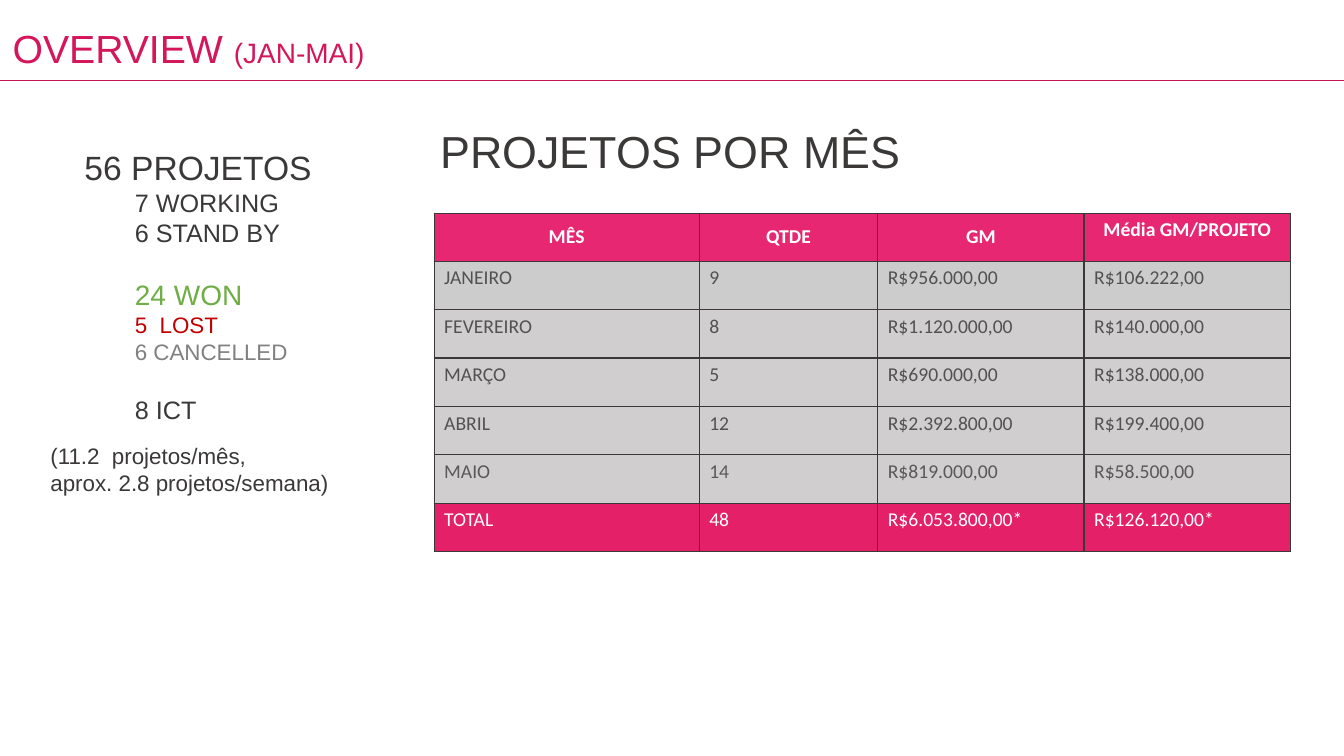
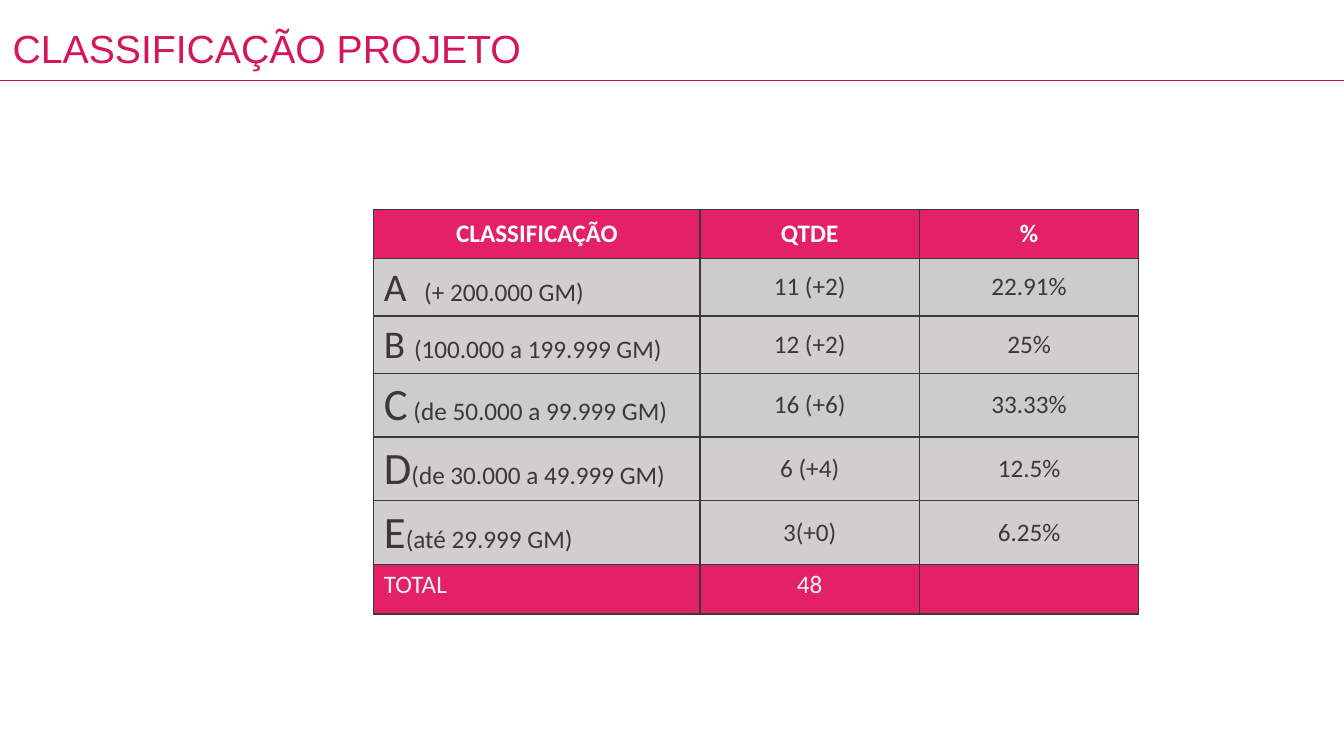
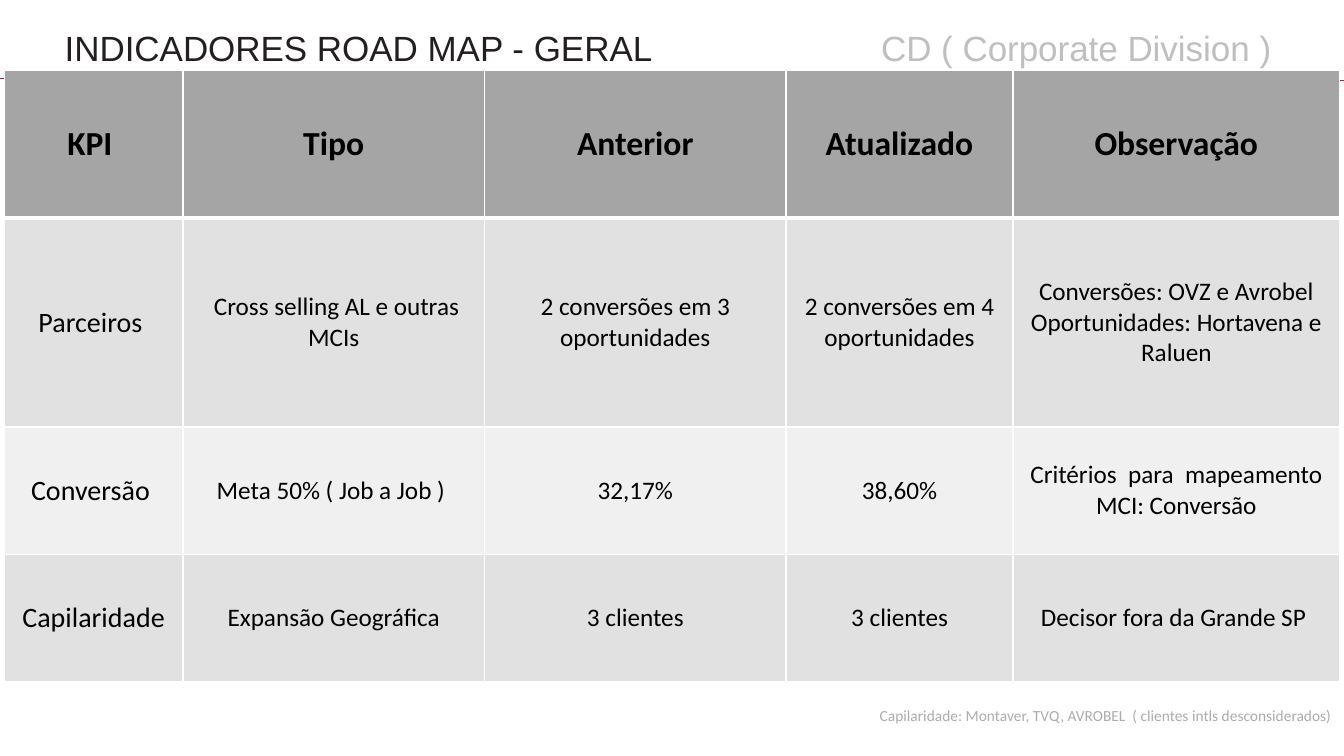
from dataclasses import dataclass, replace
from typing import NamedTuple, Optional, Sequence, Union

from lxml.etree import SubElement
from pptx import Presentation
from pptx.dml.color import RGBColor as Rgb
from pptx.enum.shapes import MSO_CONNECTOR as Link
from pptx.enum.text import MSO_ANCHOR as Anchor, PP_ALIGN as Align
from pptx.oxml.ns import qn
from pptx.util import Cm, Pt


@dataclass(frozen=True)
class Theme:
    rose: str = "D4175B"
    rule: str = "C0154C"
    pink: str = "E42068"
    light_pink: str = "E72772"
    dark: str = "3B3838"
    ink: str = "231F20"
    slate: str = "525252"
    ash: str = "595959"
    mute: str = "808080"
    green: str = "70AD47"
    red: str = "C00000"
    pale: str = "BFBFBF"
    faint: str = "AFABAB"
    head: str = "A5A5A5"
    band: str = "CCCCCC"
    warm: str = "D0CECE"
    mist: str = "E1E1E1"
    snow: str = "F0F0F0"
    cream: str = "F2F2F2"
    white: str = "FFFFFF"
    black: str = "000000"
    sans: str = "Arial"
    grid: str = "Calibri"
    huge: int = 32
    title: int = 28
    label: int = 25
    lead: int = 24
    sub: int = 20
    body: int = 18
    small: int = 16
    cell: int = 14
    note: int = 11


T = Theme()


class Run(NamedTuple):
    text: str
    size: float
    color: str
    bold: bool = False
    font: str = T.sans


class Para(NamedTuple):
    runs: Sequence[Run]
    indent: float = 0
    before: float = 0
    align: Align = Align.LEFT


class Box(NamedTuple):
    """Place of a shape, in centimetres."""
    left: float
    top: float
    width: float
    height: float


@dataclass(frozen=True)
class Look:
    """Style of a table cell."""
    size: float
    color: str
    fill: str
    bold: bool = False
    align: Align = Align.CENTER
    anchor: Anchor = Anchor.MIDDLE


@dataclass(frozen=True)
class Cell:
    text: str
    look: Look
    lead: str = ""
    lead_size: float = 0

    def paras(self) -> list[Para]:
        look = self.look
        base = Run("", look.size, look.color, look.bold, T.grid)
        lead = [base._replace(text=self.lead, size=self.lead_size)] if self.lead else []
        return [Para([*lead, base._replace(text=line)], align=look.align)
                for line in self.text.split("\n") if line]


def write(frame, paras: Sequence[Para]) -> None:
    for i, para in enumerate(paras):
        p = frame.add_paragraph() if i else frame.paragraphs[0]
        p.alignment = para.align
        if para.before:
            p.space_before = Pt(para.before)
        if para.indent:
            p.level = 1
            pr = p._p.get_or_add_pPr()
            pr.set("marL", str(Cm(para.indent)))
            pr.set("indent", "0")
        for part in para.runs:
            run = p.add_run()
            run.text = part.text
            style = {"name": part.font, "size": Pt(part.size), "bold": part.bold}
            for key, value in style.items():
                setattr(run.font, key, value)
            run.font.color.rgb = Rgb.from_string(part.color)


def add_text(slide, box: Box, paras: Sequence[Para], inset: Optional[float] = None,
             anchor: Anchor = Anchor.TOP) -> None:
    frame = slide.shapes.add_textbox(*map(Cm, box)).text_frame
    style = {"word_wrap": True, "vertical_anchor": anchor}
    if inset is not None:
        style |= {f"margin_{side}": Cm(inset) for side in ("left", "top", "right", "bottom")}
    for key, value in style.items():
        setattr(frame, key, value)
    write(frame, paras)


def add_rule(slide, start: float = 2.03) -> None:
    line = slide.shapes.add_connector(Link.STRAIGHT, 0, Cm(start), Cm(33.87), Cm(2.03))
    line.line.color.rgb = Rgb.from_string(T.rule)
    line.line.width = Pt(0.5)
    SubElement(line._element.spPr, qn("a:effectLst"))


def add_title(slide, runs: Sequence[Run], width: float) -> None:
    add_rule(slide)
    add_text(slide, Box(0.07, 0.49, width, 1.45), [Para(runs)])


def edge(cell, color: str, top: float, base: float) -> None:
    """Draw the four borders of a cell; must come before its fill."""
    pr = cell._tc.get_or_add_tcPr()
    for tag, width in {"lnL": 1, "lnR": 1, "lnT": top, "lnB": base}.items():
        line = SubElement(pr, qn(f"a:{tag}"), w=str(Pt(width)))
        fill = SubElement(line, qn("a:solidFill"))
        SubElement(fill, qn("a:srgbClr"), val=color)


def add_grid(slide, left: float, top: float, cols: Sequence[float], rows: Sequence[float],
             cells: Sequence[Sequence[Cell]], color: str, under: float = 1) -> None:
    """Add a table; under is the width of the line below its header."""
    table = slide.shapes.add_table(len(rows), len(cols), Cm(left), Cm(top),
                                   Cm(sum(cols)), Cm(sum(rows))).table
    table.horz_banding = False
    for col, width in zip(table.columns, cols):
        col.width = Cm(width)
    for row, height in zip(table.rows, rows):
        row.height = Cm(height)
    for r, line in enumerate(cells):
        for c, item in enumerate(line):
            cell = table.cell(r, c)
            edge(cell, color, under if r == 1 else 1, under if r == 0 else 1)
            cell.fill.solid()
            cell.fill.fore_color.rgb = Rgb.from_string(item.look.fill)
            cell.vertical_anchor = item.look.anchor
            write(cell.text_frame, item.paras())


def line_up(texts: Sequence[str], look: Look, **first: Union[str, float, Align]) -> list[Cell]:
    """Make a row of cells; first changes the look of the leading one."""
    looks = [replace(look, **first)] + [look] * (len(texts) - 1)
    return [Cell(text, style) for text, style in zip(texts, looks)]


def months(slide) -> None:
    add_title(slide, [Run("OVERVIEW ", T.title, T.rose), Run("(JAN-MAI)", T.sub, T.rose)], 18.24)
    counts = [
        ("7 WORKING", T.body, T.dark, 0),
        ("6 STAND BY", T.body, T.dark, 0),
        ("24 WON", T.sub, T.green, 21),
        ("5  LOST", T.small, T.red, 0),
        ("6 CANCELLED", T.small, T.mute, 0),
        ("8 ICT", T.body, T.dark, 21),
    ]
    add_text(slide, Box(1.88, 3.58, 8, 9.65),
             [Para([Run("56 PROJETOS", T.lead, T.dark)])]
             + [Para([Run(text, size, color)], 1.27, gap) for text, size, color, gap in counts])

    head = Look(T.cell, T.white, T.light_pink, True)
    first = Look(T.cell, T.slate, T.band, align=Align.LEFT, anchor=Anchor.TOP)
    plain = replace(first, fill=T.warm)
    last = replace(plain, color=T.ash)
    total = replace(plain, color=T.white, fill=T.pink)
    cells = [
        line_up(["MÊS", "QTDE", "GM"], head)
        + [Cell("Média GM/PROJETO", replace(head, anchor=Anchor.TOP))],
        line_up(["JANEIRO", "9", "R$956.000,00", "R$106.222,00"], first),
        line_up(["FEVEREIRO", "8", "R$1.120.000,00", "R$140.000,00"], plain),
        line_up(["MARÇO", "5", "R$690.000,00", "R$138.000,00"], plain),
        line_up(["ABRIL", "12", "R$2.392.800,00", "R$199.400,00"], plain),
        line_up(["MAIO", "14", "R$819.000,00", "R$58.500,00"], last),
        line_up(["TOTAL", "48", "R$6.053.800,00*", "R$126.120,00*"], total),
    ]
    add_grid(slide, 10.94, 5.37, [6.68, 4.5, 5.2, 5.2], [1.21] + [1.22] * 5 + [1.21],
             cells, T.dark)
    add_text(slide, Box(10.85, 3, 22.9, 1.63), [Para([Run("PROJETOS POR MÊS", T.huge, T.dark)])])
    add_text(slide, Box(1.02, 11.02, 7.8, 1.63),
             [Para([Run(text, T.small, T.dark)])
              for text in ("(11.2  projetos/mês,", "aprox. 2.8 projetos/semana)")])


def classes(slide) -> None:
    add_title(slide, [Run("CLASSIFICAÇÃO PROJETO", T.title, T.rose)], 29.41)
    head = Look(T.body, T.white, T.pink, True)
    plain = Look(T.body, T.dark, T.warm)
    total = Look(T.body, T.cream, T.pink, anchor=Anchor.TOP)
    ranks = [
        ("A  ", T.title, "(+ 200.000 GM)", "11 (+2)", "22.91%", T.warm, T.band),
        ("B ", T.title, "(100.000 a 199.999 GM)", "12 (+2)", "25%", T.warm, T.warm),
        ("C", T.huge, " (de 50.000 a 99.999 GM)", "16 (+6)", "33.33%", T.band, T.band),
        ("D", T.huge, "(de 30.000 a 49.999 GM)", "6 (+4)", "12.5%", T.warm, T.warm),
        ("E", T.huge, "(até 29.999 GM)", "3(+0)", "6.25%", T.warm, T.warm),
    ]
    cells = [line_up(["CLASSIFICAÇÃO", "QTDE", "%"], head)]
    for mark, size, span, count, share, left, rest in ranks:
        name = Cell(span, replace(plain, fill=left, align=Align.LEFT), mark, size)
        cells.append([name] + line_up([count, share], replace(plain, fill=rest)))
    cells.append(line_up(["TOTAL", "48", ""], total, align=Align.LEFT))
    add_grid(slide, 9.42, 5.28, [8.22, 5.53, 5.53], [1.24] * 7, cells, T.dark)


def goals(slide) -> None:
    add_rule(slide, 1.98)
    add_text(slide, Box(21.77, 0.43, 10.95, 1.52),
             [Para([Run("CD ( Corporate Division ) ", T.label, T.pale)], align=Align.CENTER)],
             0, Anchor.MIDDLE)
    add_text(slide, Box(1.63, 0.66, 22.66, 1.47),
             [Para([Run("INDICADORES ROAD MAP - GERAL", T.label, T.ink)])], 0)
    note = "Capilaridade: Montaver, TVQ, AVROBEL  ( clientes intls desconsiderados)"
    add_text(slide, Box(21.92, 17.68, 11.95, 1.19),
             [Para([Run(note, T.note, T.faint, font=T.grid)])])

    head = Look(T.lead, T.black, T.head, True)
    odd = Look(T.body, T.black, T.mist)
    even = replace(odd, fill=T.snow)
    cells = [
        line_up(["KPI ", "Tipo", "Anterior", "Atualizado", "Observação"], head),
        line_up(["Parceiros ", " Cross selling AL e outras MCIs",
                 "2 conversões em 3 oportunidades", "2 conversões em 4 oportunidades",
                 "Conversões: OVZ e Avrobel\nOportunidades: Hortavena e Raluen"],
                odd, size=T.sub),
        line_up(["Conversão ", "Meta 50% ( Job a Job ) ", "32,17%", "38,60%",
                 "Critérios  para  mapeamento MCI: Conversão"], even, size=T.sub),
        line_up(["Capilaridade", "Expansão Geográfica", "3 clientes", "3 clientes",
                 "Decisor fora da Grande SP "], odd, size=T.sub),
    ]
    add_grid(slide, 0.11, 1.78, [4.5, 7.6, 7.6, 5.72, 8.23], [3.71, 5.27, 3.21, 3.2],
             cells, T.white, under=3)


def main() -> None:
    deck = Presentation()
    deck.slide_width, deck.slide_height = Cm(33.87), Cm(19.05)
    for draw in (months, classes, goals):
        draw(deck.slides.add_slide(deck.slide_layouts[6]))
    deck.save("out.pptx")


if __name__ == "__main__":
    main()
